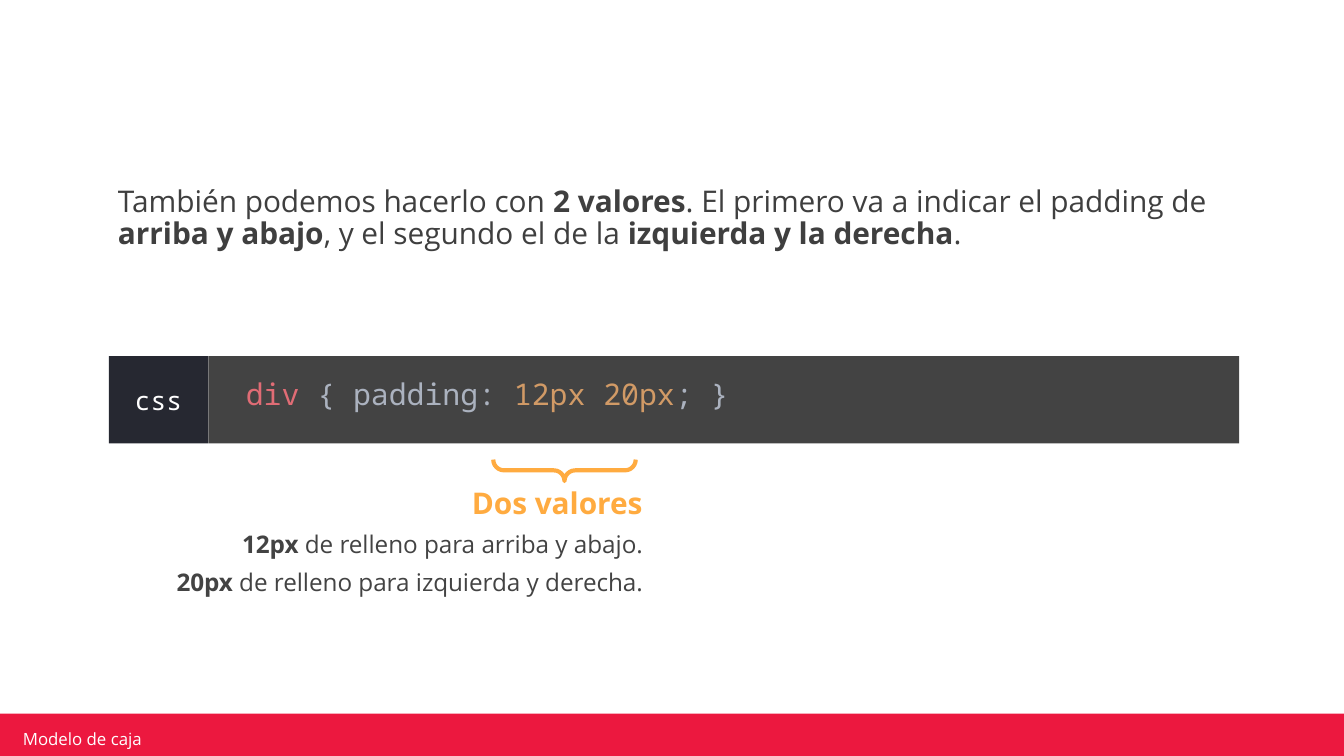
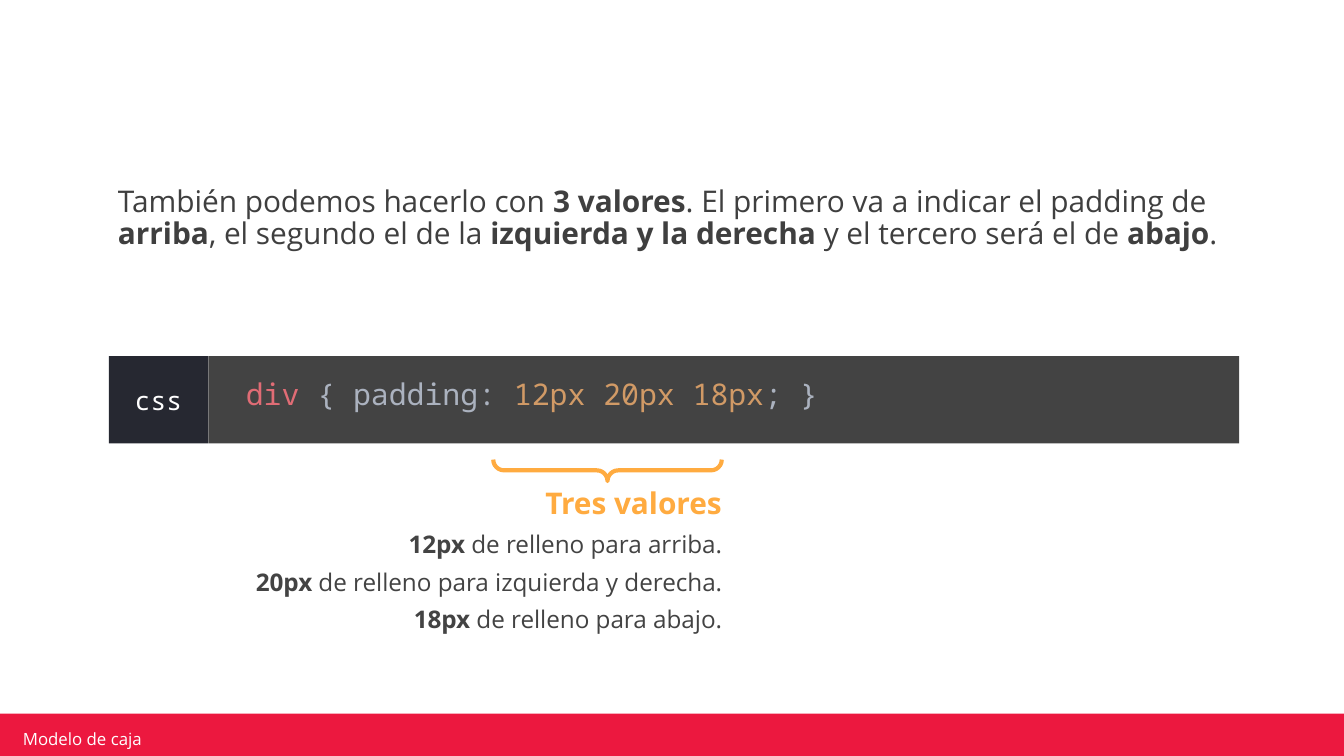
"""Build two slides on the CSS padding shorthand."""
from dataclasses import dataclass

from pptx import Presentation
from pptx import util as u
from pptx.dml.color import RGBColor
from pptx.enum import shapes, text


@dataclass(frozen=True)
class Theme:
    """Colours, fonts and type sizes shared by the slides."""
    band: str = "EC183F"
    accent: str = "FFAB40"
    body: str = "3F3F3F"
    dark: str = "434343"
    label: str = "262831"
    white: str = "FFFFFF"
    selector: str = "E06C75"
    syntax: str = "ABB2BF"
    value: str = "D19A66"
    sans: str = "Open Sans"
    mono: str = "Noto Sans Mono"
    large: int = 16
    medium: int = 14
    small: int = 13
    tiny: int = 9


@dataclass(frozen=True)
class Box:
    """A rectangle on a grid of cells a tenth of an inch wide."""
    col: float
    row: float
    cols: float
    rows: float

    def inner(self, col, row, cols, rows):
        """Return a box whose place is counted from this box's corner."""
        return Box(self.col + col, self.row + row, cols, rows)

    def emu(self):
        """Return left, top, width and height for python-pptx."""
        return [u.Inches(cells / 10) for cells in (self.col, self.row, self.cols, self.rows)]


THEME = Theme()
SLIDE = Box(0, 0, 100, 56.25)
INTRO = SLIDE.inner(7.8, 12.9, 84.3, 10)
CODE = SLIDE.inner(8.1, 26.5, 84.1, 6.5)
BRACE_START = SLIDE.inner(36.7, 34.2, 0, 1.6)
NOTES_COLS, NOTES_ROWS = 41.8, 14.4


def rgb(colour):
    """Turn a hexadecimal theme colour into an RGBColor."""
    return RGBColor.from_string(colour)


def set_font(font, size, colour, name=THEME.sans, bold=None):
    """Apply size, colour, typeface and weight to a font."""
    font.size, font.name, font.bold = u.Pt(size), name, bold
    font.color.rgb = rgb(colour)


def set_frame(frame, insets=(0.1, 0.1, 0.1, 0.1), anchor=text.MSO_ANCHOR.TOP):
    """Wrap a text frame, set its insets and anchor, and return it."""
    frame.word_wrap = True
    frame.vertical_anchor = anchor
    (frame.margin_left, frame.margin_top,
     frame.margin_right, frame.margin_bottom) = map(u.Inches, insets)
    return frame


def add_marked(paragraph, marked):
    """Write text in which pairs of asterisks enclose bold words."""
    for index, piece in enumerate(marked.split("**")):
        if piece:
            run = paragraph.add_run()
            run.text = piece
            if index % 2:
                run.font.bold = True


def add_panel(parent, box, fill):
    """Add a plain filled rectangle."""
    panel = parent.add_shape(shapes.MSO_SHAPE.RECTANGLE, *box.emu())
    panel.shadow.inherit = False
    panel.fill.solid()
    panel.fill.fore_color.rgb = rgb(fill)
    panel.line.fill.background()
    return panel


def add_footer(slide, box):
    """Draw the band along the bottom edge with the topic name."""
    add_panel(slide.shapes, box.inner(-0.2, 53.1, 100.3, 3.6), THEME.band)
    topic = slide.shapes.add_textbox(*box.inner(1.2, 54.2, 23.9, 1.5).emu())
    frame = set_frame(topic.text_frame, (0.05, 0.02, 0.05, 0.02), text.MSO_ANCHOR.MIDDLE)
    line = frame.paragraphs[0]
    set_font(line.font, THEME.tiny, THEME.white)
    add_marked(line, "Modelo de caja")


def add_intro(slide, box, marked):
    """Write the explanatory paragraph."""
    intro = slide.shapes.add_textbox(*box.emu())
    line = set_frame(intro.text_frame).paragraphs[0]
    line.line_spacing = 0.9
    set_font(line.font, THEME.large, THEME.body)
    add_marked(line, marked)


def add_code(slide, box, values):
    """Draw the code bar: a language label and one coloured rule."""
    bar = slide.shapes.add_group_shape().shapes
    label_cols = 7.4
    source = add_panel(bar, box.inner(label_cols, 0, box.cols - label_cols, box.rows), THEME.dark)
    rule = set_frame(source.text_frame, (0.08, 0, 0.1, 0.1), text.MSO_ANCHOR.MIDDLE).paragraphs[0]
    rule.alignment = text.PP_ALIGN.LEFT
    rule._p.get_or_add_pPr().set("marL", str(u.Inches(0.2)))
    tokens = (("div ", THEME.selector), ("{ padding: ", THEME.syntax),
              (values, THEME.value), ("; }", THEME.syntax))
    for token, colour in tokens:
        run = rule.add_run()
        run.text = token
        set_font(run.font, THEME.large, colour, THEME.mono)

    label = add_panel(bar, box.inner(0, 0, label_cols, box.rows), THEME.label)
    language = set_frame(label.text_frame, anchor=text.MSO_ANCHOR.MIDDLE).paragraphs[0]
    language.alignment = text.PP_ALIGN.CENTER
    set_font(language.font, THEME.medium, THEME.white, THEME.mono)
    add_marked(language, "css")


def add_brace(slide, box):
    """Draw a brace opening upwards across the width of the box."""
    upright = box.inner((box.cols - box.rows) / 2, (box.rows - box.cols) / 2, box.rows, box.cols)
    brace = slide.shapes.add_shape(shapes.MSO_SHAPE.RIGHT_BRACE, *upright.emu())
    brace.rotation = 90
    brace.adjustments[0] = brace.adjustments[1] = 0.5
    brace.shadow.inherit = False
    brace.fill.background()
    brace.line.color.rgb = rgb(THEME.accent)
    brace.line.width = u.Pt(2.25)


def add_notes(slide, box, heading, notes):
    """Write the heading and what each value means, flush right."""
    legend = slide.shapes.add_textbox(*box.emu())
    frame = set_frame(legend.text_frame)
    for index, marked in enumerate((heading, *notes)):
        line = frame.add_paragraph() if index else frame.paragraphs[0]
        line.alignment = text.PP_ALIGN.RIGHT
        line.line_spacing = 0.9
        if index:
            line.space_before = u.Pt(6)
            set_font(line.font, THEME.small, THEME.dark)
        else:
            set_font(line.font, THEME.large, THEME.accent, bold=True)
        add_marked(line, marked)


def add_padding_slide(deck, intro, values, brace_cols, notes_col, heading, notes):
    """Add one slide about a form of the padding rule."""
    slide = deck.slides.add_slide(deck.slide_layouts[6])
    add_footer(slide, SLIDE)
    add_intro(slide, INTRO, intro)
    add_code(slide, CODE, values)
    add_brace(slide, BRACE_START.inner(0, 0, brace_cols, BRACE_START.rows))
    add_notes(slide, SLIDE.inner(notes_col, 35.4, NOTES_COLS, NOTES_ROWS), heading, notes)


def main():
    """Build and save the deck."""
    deck = Presentation()
    _, _, deck.slide_width, deck.slide_height = SLIDE.emu()
    add_padding_slide(
        deck,
        "También podemos hacerlo con **2 valores**. El primero va a indicar el padding de "
        "**arriba y abajo**, y el segundo el de la **izquierda y la derecha**.",
        "12px 20px", 10.6, 7, "Dos valores",
        ("**12px** de relleno para arriba y abajo.",
         "**20px** de relleno para izquierda y derecha."))
    add_padding_slide(
        deck,
        "También podemos hacerlo con **3 valores**. El primero va a indicar el padding de "
        "**arriba**, el segundo el de la **izquierda y la derecha** y el tercero será el de "
        "**abajo**.",
        "12px 20px 18px", 17, 12.9, "Tres valores",
        ("**12px** de relleno para arriba.",
         "**20px** de relleno para izquierda y derecha.",
         "**18px** de relleno para abajo."))
    deck.save("out.pptx")


if __name__ == "__main__":
    main()
